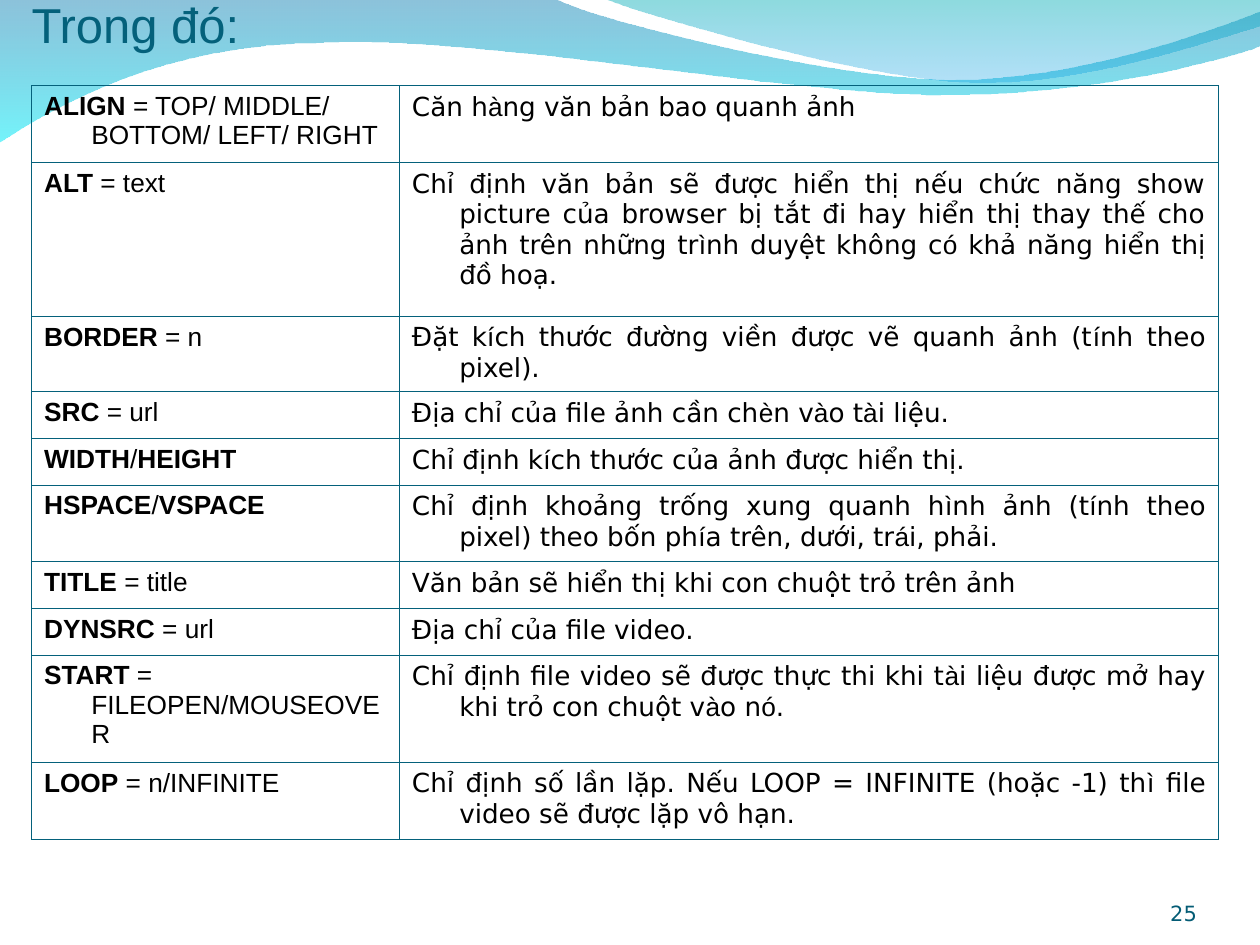
"""Build a slide with a table of image tag attributes under a wave header."""
from itertools import groupby

from lxml import etree
from pptx import Presentation, util as u
from pptx.dml.color import RGBColor
from pptx.enum import text
from pptx.oxml import parse_xml
from pptx.oxml.ns import nsdecls, qn

COLORS = {"title": "04617B", "border": "04617B", "number": "045C75", "body": "000000",
          "blue": "0079AF", "cyan": "00EBF8", "teal": "00ADB6", "sky": "009BE5"}
LATIN, VIET = "Arial", "DejaVu Sans"
LATIN_LETTERS = "àáèìíó"

LOWER_WAVE = [
    (0, -1), (440, -1),
    (476, 17, 664, 63, 758, 63), (853, 63, 958, 26, 1000, 9),
    (1001, 36),
    (983, 44, 870, 76, 746, 75), (622, 75, 382, 28, 257, 34), (129, 35, 46, 83, -1, 113),
]
UPPER_WAVE = [
    (479, -1),
    (509, 11, 682, 62, 769, 65), (856, 69, 961, 32, 1000, 21),
    (1000, 0),
]

ROWS = [
    (0.61, "ALIGN* = TOP/ MIDDLE/ BOTTOM/ LEFT/ RIGHT", "Căn hàng văn bản bao quanh ảnh"),
    (1.22, "ALT* = text",
     "Chỉ định văn bản sẽ được hiển thị nếu chức năng show picture của browser bị tắt đi "
     "hay hiển thị thay thế cho ảnh trên những trình duyệt không có khả năng hiển thị đồ hoạ."),
    (0.6, "BORDER* = n", "Đặt kích thước đường viền được vẽ quanh ảnh (tính theo pixel)."),
    (0.37, "SRC* = url", "Địa chỉ của file ảnh cần chèn vào tài liệu."),
    (0.37, "WIDTH*/*HEIGHT", "Chỉ định kích thước của ảnh được hiển thị."),
    (0.61, "HSPACE*/*VSPACE",
     "Chỉ định khoảng trống xung quanh hình ảnh (tính theo pixel) "
     "theo bốn phía trên, dưới, trái, phải."),
    (0.37, "TITLE* = title", "Văn bản sẽ hiển thị khi con chuột trỏ trên ảnh"),
    (0.37, "DYNSRC* = url", "Địa chỉ của file video."),
    (0.85, "START* = FILEOPEN/MOUSEOVER",
     "Chỉ định file video sẽ được thực thi khi tài liệu được mở hay khi trỏ con chuột vào nó."),
    (0.61, "LOOP* = n/INFINITE",
     "Chỉ định số lần lặp. Nếu LOOP = INFINITE (hoặc -1) thì file video sẽ được lặp vô hạn."),
]


def bend(sp, outline):
    """Turn the segments that have control points into cubic curves."""
    left = min(part[-2] for part in outline)
    top = min(part[-1] for part in outline)
    lines = list(sp.element.iter(qn("a:lnTo")))
    for line, part in zip(lines, outline[1:]):
        if len(part) == 6:
            curve = etree.Element(qn("a:cubicBezTo"))
            for x, y in zip(part[::2], part[1::2]):
                etree.SubElement(curve, qn("a:pt"), x=str(x - left), y=str(y - top))
            line.getparent().replace(line, curve)


def add_wave(s, outline, stops):
    """Add a curved band, in hundredths of an inch, with a see-through vertical gradient."""
    ends = [part[-2:] for part in outline]
    builder = s.shapes.build_freeform(*ends[0], scale=u.Inches(0.01))
    builder.add_line_segments(ends[1:], close=True)
    sp = builder.convert_to_shape()
    bend(sp, outline)
    sp.shadow.inherit = False
    sp.line.fill.background()
    gs = "".join(
        f'<a:gs pos="{i * 100000}"><a:srgbClr val="{COLORS[color]}">'
        f'<a:alpha val="{alpha * 1000}"/></a:srgbClr></a:gs>'
        for i, (color, alpha) in enumerate(stops))
    fill = parse_xml(f'<a:gradFill {nsdecls("a")}><a:gsLst>{gs}</a:gsLst>'
                     '<a:lin ang="5400000" scaled="0"/></a:gradFill>')
    sp.element.spPr.find(qn("a:custGeom")).addnext(fill)


def format_paragraph(p, size, color, align=text.PP_ALIGN.LEFT, font=None):
    """Set the alignment and the shared font of a paragraph."""
    p.alignment = align
    p.font.size = u.Pt(size)
    p.font.color.rgb = RGBColor.from_string(COLORS[color])
    if font:
        p.font.name = font


def format_frame(tf, top=0):
    """Anchor text at the bottom with no side margins."""
    tf.margin_left = tf.margin_right = tf.margin_bottom = 0
    tf.margin_top = u.Inches(top)
    tf.vertical_anchor = text.MSO_ANCHOR.BOTTOM
    tf.auto_size = text.MSO_AUTO_SIZE.NONE
    tf.word_wrap = True


def add_title(s, words):
    """Fill and place the title in front of the waves."""
    title = s.shapes.title
    title.left, title.top, title.width, title.height = map(u.Inches, (0.25, 0.17, 8.5, 0.25))
    format_frame(title.text_frame, 0.05)
    title.text_frame.text = words
    format_paragraph(title.text_frame.paragraphs[0], 28, "title", font=LATIN)
    s.shapes.element.append(title.element)


def add_number(s, number):
    """Add the page number at the lower right."""
    tf = s.shapes.add_textbox(*map(u.Inches, (8.67, 6.95, 0.83, 0.4))).text_frame
    format_frame(tf)
    tf.text = number
    format_paragraph(tf.paragraphs[0], 12, "number", text.PP_ALIGN.RIGHT, VIET)


def style_cell(cell):
    """Clear the fill of a cell and draw thin borders on all sides."""
    tcPr = cell._tc.get_or_add_tcPr()
    for side in ("lnL", "lnR", "lnT", "lnB"):
        ln = etree.SubElement(tcPr, qn(f"a:{side}"), w=str(u.Pt(0.45)))
        fill = etree.SubElement(ln, qn("a:solidFill"))
        etree.SubElement(fill, qn("a:srgbClr"), val=COLORS["border"])
    cell.fill.background()


def hang(p):
    """Give a paragraph a hanging indent."""
    pPr = p._p.get_or_add_pPr()
    pPr.set("marL", str(u.Pt(27)))
    pPr.set("indent", str(-u.Pt(27)))


def add_run(p, words, font, bold=False):
    """Append a run with its own typeface and weight."""
    r = p.add_run()
    r.text = words
    r.font.name = font
    r.font.bold = bold


def fill_attribute(p, words):
    """Write an attribute, with bold and regular parts parted by asterisks."""
    for i, part in enumerate(words.split("*")):
        add_run(p, part, LATIN, i % 2 == 0)


def fill_meaning(p, words):
    """Write a description, with some accented letters in the Latin font."""
    for is_latin, letters in groupby(words, lambda c: c in LATIN_LETTERS):
        add_run(p, "".join(letters), LATIN if is_latin else VIET)


def add_attributes(s):
    """Add the table of attributes and their meanings."""
    frame = s.shapes.add_table(len(ROWS), 2, *map(u.Inches, (0.25, 0.68, 9.42, 5.98)))
    table = frame.table
    table.first_row = table.horz_banding = False
    for column, width in zip(table.columns, (2.92, 6.5)):
        column.width = u.Inches(width)
    for i, (height, *texts) in enumerate(ROWS):
        table.rows[i].height = u.Inches(height)
        for j, (words, write) in enumerate(zip(texts, (fill_attribute, fill_meaning))):
            cell = table.cell(i, j)
            style_cell(cell)
            p = cell.text_frame.paragraphs[0]
            hang(p)
            justified = i > 0 and j == 1
            format_paragraph(p, 15, "body",
                             text.PP_ALIGN.JUSTIFY if justified else text.PP_ALIGN.LEFT)
            write(p, words)


def main():
    """Build and save the slide."""
    prs = Presentation()
    prs.slide_width, prs.slide_height = u.Inches(10), u.Inches(7.5)
    s = prs.slides.add_slide(prs.slide_layouts[5])
    add_wave(s, LOWER_WAVE, [("blue", 45), ("cyan", 55)])
    add_wave(s, UPPER_WAVE, [("teal", 45), ("sky", 30)])
    add_title(s, "Trong đó:")
    add_attributes(s)
    add_number(s, "25")
    prs.save("out.pptx")


if __name__ == "__main__":
    main()
